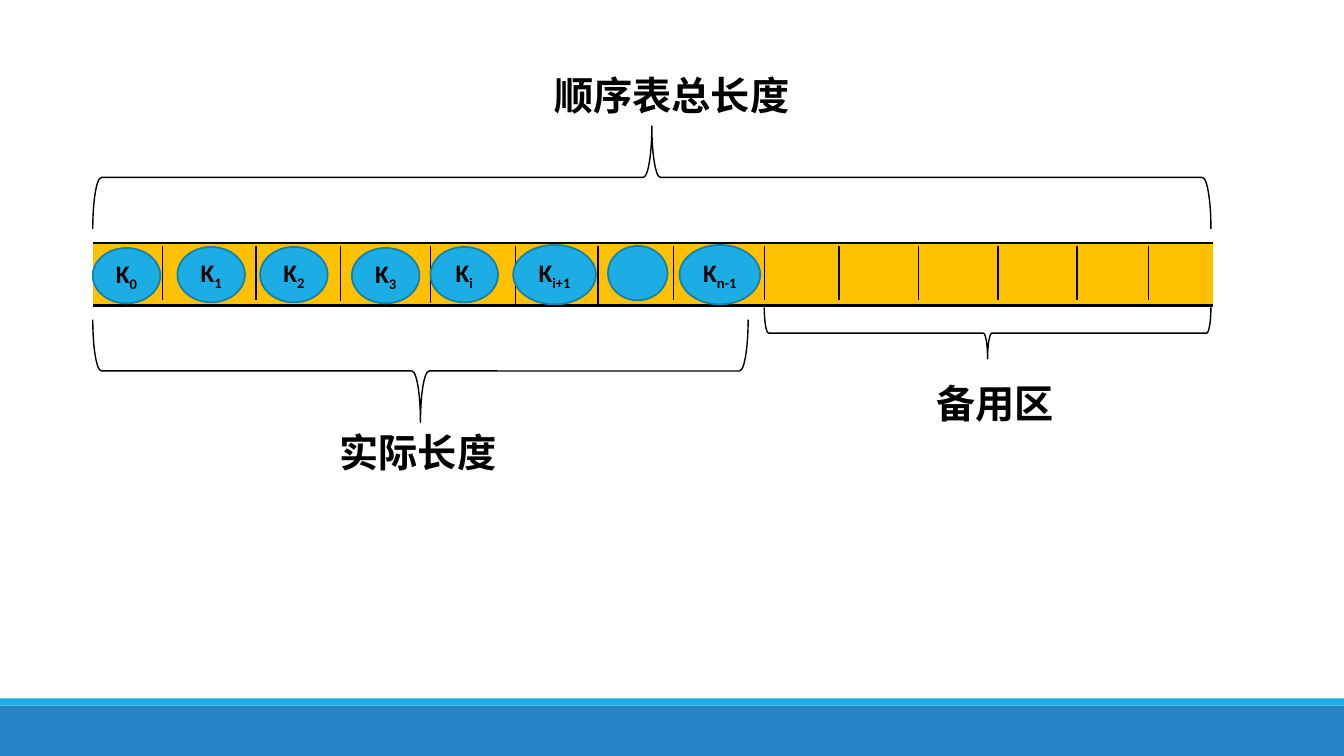
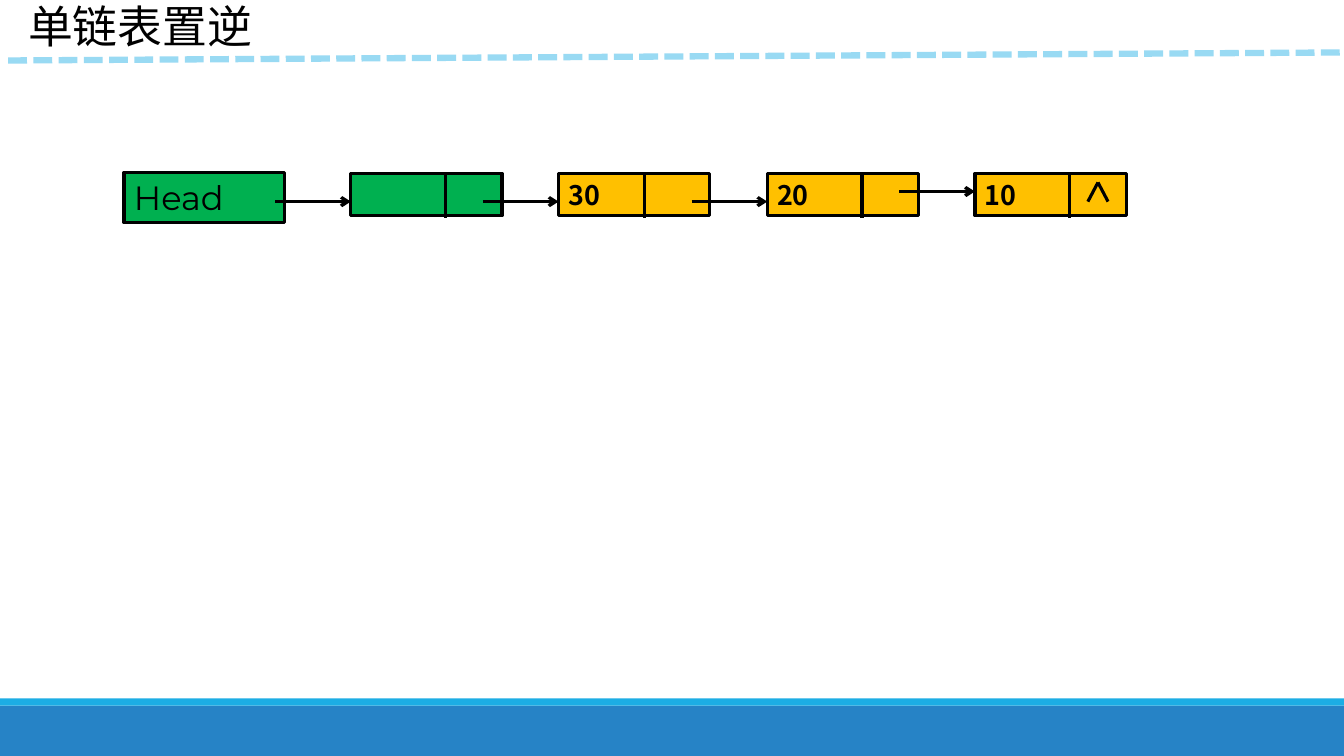
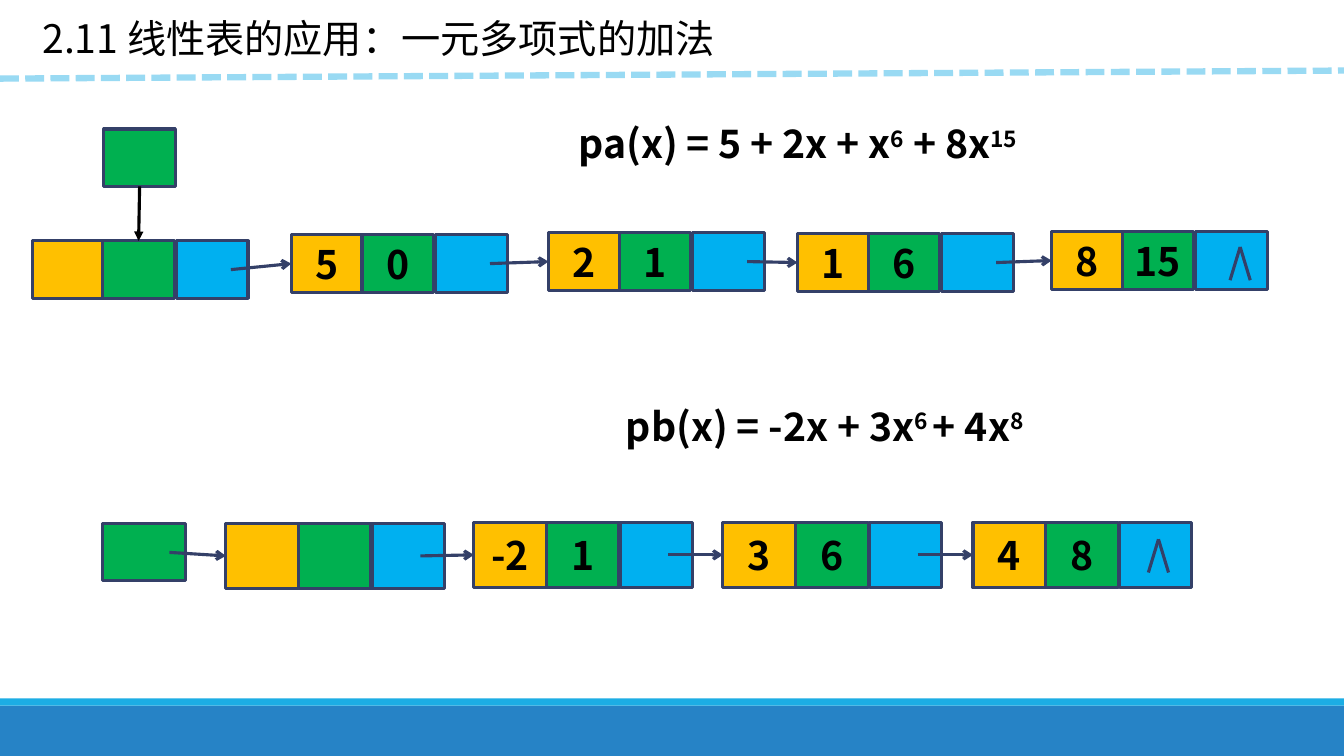
from dataclasses import dataclass

from lxml import etree
from pptx import Presentation
from pptx.dml.color import RGBColor
from pptx.enum import dml, shapes, text
from pptx.oxml.ns import qn
from pptx.util import Inches, Pt


@dataclass(frozen=True)
class Theme:
    black: str = "000000"
    gold: str = "FFC000"
    green: str = "00B050"
    sky: str = "00B0F0"
    navy: str = "344068"
    blue: str = "2683C6"
    cyan: str = "1CADE4"
    rim: str = "1580A9"
    dash: str = "99DAF3"
    sans: str = "Noto Sans CJK SC"
    key: str = "Calibri"
    head: str = "Montserrat"
    big: float = 32
    mid: float = 28
    note: float = 24
    item: float = 19.2
    small: float = 18
    thin: float = 1
    edge: float = 1.25
    rule: float = 2
    bold: float = 2.25
    thick: float = 4.5


T = Theme()
KIND = shapes.MSO_SHAPE
ALIGN = text.PP_ALIGN

BANDS = [((0, 7, 13.33, 0.5), T.blue), ((0, 6.93, 13.33, 0.07), T.cyan)]

TABLE = (0.92, 2.41, 11.1, 0.62)
COLS = [1.39, 1.39, 1.39, 1.39, 3.58, 0.63, 0.63, 0.71]
TICKS = [(1.61, 2.98), (2.54, 2.98), (3.38, 2.99), (4.27, 3.01), (5.11, 3.02),
         (5.93, 3.02), (6.68, 2.98), (7.58, 2.98), (8.32, 2.98), (9.11, 2.98),
         (9.9, 2.98), (10.68, 2.98), (11.39, 2.98)]
KEYS = [("0", 0.92, 2.46, 0.67, 0.55), ("", 6.03, 2.44, 0.59, 0.54),
        ("1", 1.76, 2.45, 0.67, 0.55), ("2", 2.58, 2.45, 0.67, 0.55),
        ("3", 3.49, 2.46, 0.67, 0.55), ("i", 4.27, 2.45, 0.67, 0.55),
        ("i+1", 5.09, 2.43, 0.82, 0.59), ("n-1", 6.74, 2.43, 0.8, 0.59)]
BRACES = [(0.92, 1.25, 11.09, 1.02, 270), (0.92, 3.17, 6.5, 1.02, 90),
          (7.58, 3.05, 4.43, 0.51, 90)]
LABELS = [("顺序表总长度", (5.4, 0.45, 2.56, 0.85)),
          ("实际长度", (3.27, 3.99, 1.77, 0.85)),
          ("备用区", (9.19, 3.5, 1.38, 0.85))]

NODES = [("", T.green, 3.48, 0.94, 2), ("30", T.gold, 5.54, 0.85, 2),
         ("20", T.gold, 7.61, 0.94, 2), ("10", T.gold, 9.67, 0.94, 1.9)]

SUMS = [((5.64, 1.07, 5.14, 0.7),
         [("pa(x) = 5 + 2x + x", 0), ("6", 30), (" + 8x", 0), ("15", 30)]),
        ((6.11, 3.87, 4.79, 0.7),
         [("pb(x) = -2x + 3x", 0), ("6 ", 30), ("+ 4x", 0), ("8", 30)])]
CHAINS = [
    dict(size=(0.71, 0.57), steps=(0, 0.7, 1.43), tail=0.54, cap=(12.3, 2.45),
         nodes=[(0.32, 2.39, "", ""), (2.89, 2.33, "5", "0"),
                (5.44, 2.31, "2", "1"), (7.91, 2.32, "1", "6"),
                (10.43, 2.3, "8", "15")]),
    dict(size=(0.72, 0.65), steps=(0, 0.72, 1.45), tail=0.48, cap=(11.49, 5.35),
         nodes=[(2.24, 5.19, "", ""), (4.7, 5.18, "-2", "1"),
                (7.17, 5.18, "3", "6"), (9.65, 5.18, "4", "8")]),
]


def rgb(code):
    return RGBColor.from_string(code)


def write(frame, runs, size, font=T.sans, bold=True, align=ALIGN.LEFT,
          side=0.1, wrap=True, lead=1):
    frame.word_wrap = wrap
    frame.auto_size = text.MSO_AUTO_SIZE.NONE
    frame.vertical_anchor = text.MSO_ANCHOR.MIDDLE
    frame.margin_left = frame.margin_right = Inches(side)
    frame.margin_top = frame.margin_bottom = 0
    para = frame.paragraphs[0]
    para.alignment, para.line_spacing = align, lead
    for words, base in runs:
        run = para.add_run()
        run.text = words
        run.font.size, run.font.bold, run.font.name = Pt(size), bold, font
        run.font.color.rgb = rgb(T.black)
        props = run._r.get_or_add_rPr()
        etree.SubElement(props, qn("a:ea")).set("typeface", font)
        if base:
            props.set("baseline", str(base * 1000))


def box(page, at, fill=None, line=None, width=T.bold, kind=KIND.RECTANGLE):
    item = page.shapes.add_shape(kind, *map(Inches, at))
    item.shadow.inherit = False
    if fill:
        item.fill.solid()
        item.fill.fore_color.rgb = rgb(fill)
    else:
        item.fill.background()
    if line:
        item.line.color.rgb = rgb(line)
        item.line.width = Pt(width)
    else:
        item.line.fill.background()
    return item


def link(page, start, end, color=T.black, width=T.bold, tip=None, dash=None):
    wire = page.shapes.add_connector(
        shapes.MSO_CONNECTOR.STRAIGHT, *map(Inches, (*start, *end)))
    wire.line.color.rgb = rgb(color)
    wire.line.width = Pt(width)
    if dash:
        wire.line.dash_style = dash
    props = wire.element.spPr
    if tip:
        etree.SubElement(props.find(qn("a:ln")), qn("a:tailEnd")).set("type", tip)
    etree.SubElement(props, qn("a:effectLst"))
    return wire


def caret(page, x, y, high, color):
    for side in (-0.1, 0.1):
        link(page, (x, y), (x + side, y + high), color)


def label(page, at, runs, **style):
    item = page.shapes.add_textbox(*map(Inches, at))
    write(item.text_frame, runs, T.mid, **style)


def titled(deck, words, at, size, start, end):
    page = deck.slides.add_slide(deck.slide_layouts[5])
    name = page.shapes.title
    name.left, name.top, name.width, name.height = map(Inches, at)
    write(name.text_frame, [(words, 0)], size, bold=False)
    link(page, start, end, T.dash, T.thick, dash=dml.MSO_LINE.SQUARE_DOT)
    return page


def bands(deck, page):
    tree = deck.slide_master.element.cSld.spTree
    for num, (at, fill) in enumerate(BANDS, 20):
        band = box(page, at, fill).element
        band.nvSpPr.cNvPr.set("id", str(num))
        tree.append(band)


def border(cell):
    props = cell._tc.get_or_add_tcPr()
    for side in "LRTB":
        line = etree.SubElement(props, qn("a:ln" + side))
        if side in "LR":
            etree.SubElement(line, qn("a:noFill"))
        else:
            line.set("w", str(Pt(T.rule)))
            fill = etree.SubElement(line, qn("a:solidFill"))
            etree.SubElement(fill, qn("a:srgbClr")).set("val", T.black)


def array(page):
    grid = page.shapes.add_table(1, len(COLS), *map(Inches, TABLE)).table
    grid.first_row = grid.horz_banding = False
    for col, wide in zip(grid.columns, COLS):
        col.width = Inches(wide)
    for cell in grid.iter_cells():
        border(cell)
        cell.fill.solid()
        cell.fill.fore_color.rgb = rgb(T.gold)
    for x, end in TICKS:
        link(page, (x, 2.44), (x, end), width=T.thin)
    for sub, *at in KEYS:
        key = box(page, at, T.cyan, T.rim, T.edge, KIND.OVAL)
        if sub:
            write(key.text_frame, [("K", 0), (sub, -25)], T.small, T.key,
                  align=ALIGN.CENTER, side=0)
    for left, top, wide, deep, turn in BRACES:
        at = (left + (wide - deep) / 2, top + (deep - wide) / 2, deep, wide)
        brace = box(page, at, None, T.black, T.thin, KIND.RIGHT_BRACE)
        brace.rotation = turn
    for words, at in LABELS:
        label(page, at, [(words, 0)], wrap=False, lead=1.3)


def linked(page):
    head = box(page, (1.23, 1.71, 1.59, 0.5), T.green, T.black)
    write(head.text_frame, [("Head", 0)], T.note, T.head, False)
    for words, fill, left, split, y in NODES:
        node = box(page, (left, 1.72, 1.5, 0.42), fill, T.black)
        if words:
            write(node.text_frame, [(words, 0)], T.item)
        link(page, (left + split, 1.71), (left + split, 2.16))
        link(page, (left - 0.75, y), (left, y), tip="arrow")
    caret(page, 10.89, 1.81, 0.19, T.black)


def chain(page, size, steps, tail, cap, nodes):
    firsts, starts = [], []
    for left, top, *words in nodes:
        cells = []
        for step, fill, word in zip(steps, (T.gold, T.green, T.sky), words + [""]):
            cell = box(page, (left + step, top, *size), fill, T.navy)
            if word:
                write(cell.text_frame, [(word, 0)], T.mid, align=ALIGN.CENTER)
            cells.append(cell)
        firsts.append(cells)
        starts.append((left + steps[-1] + tail, top + size[1] / 2))
    for start, cells in zip(starts, firsts[1:]):
        wire = link(page, start, start, T.navy, tip="arrow")
        wire.end_connect(cells[0], 1)
    caret(page, *cap, 0.33, T.navy)
    return firsts[0]


def sums(page):
    for at, runs in SUMS:
        label(page, at, runs)
    first, second = [chain(page, **data) for data in CHAINS]
    above = box(page, (1.03, 1.28, 0.71, 0.57), T.green, T.navy)
    down = link(page, (1.39, 1.85), (1.37, 2.39), tip="triangle")
    down.begin_connect(above, 2)
    down.end_connect(first[1], 0)
    box(page, (1.02, 5.19, 0.82, 0.57), T.green, T.navy)
    into = link(page, (1.68, 5.48), (2.24, 5.48), T.navy, tip="arrow")
    into.end_connect(second[0], 1)


def main():
    deck = Presentation()
    deck.slide_width, deck.slide_height = Inches(13.33), Inches(7.5)
    page = deck.slides.add_slide(deck.slide_layouts[6])
    bands(deck, page)
    array(page)
    linked(titled(deck, " 单链表置逆", (0.08, -0.15, 6.35, 0.8), T.big,
                  (0.08, 0.6), (13.42, 0.52)))
    sums(titled(deck, "2.11 线性表的应用：一元多项式的加法", (0.32, 0.03, 7.62, 0.7),
                T.mid, (0, 0.78), (13.33, 0.7)))
    deck.save("out.pptx")


if __name__ == "__main__":
    main()
